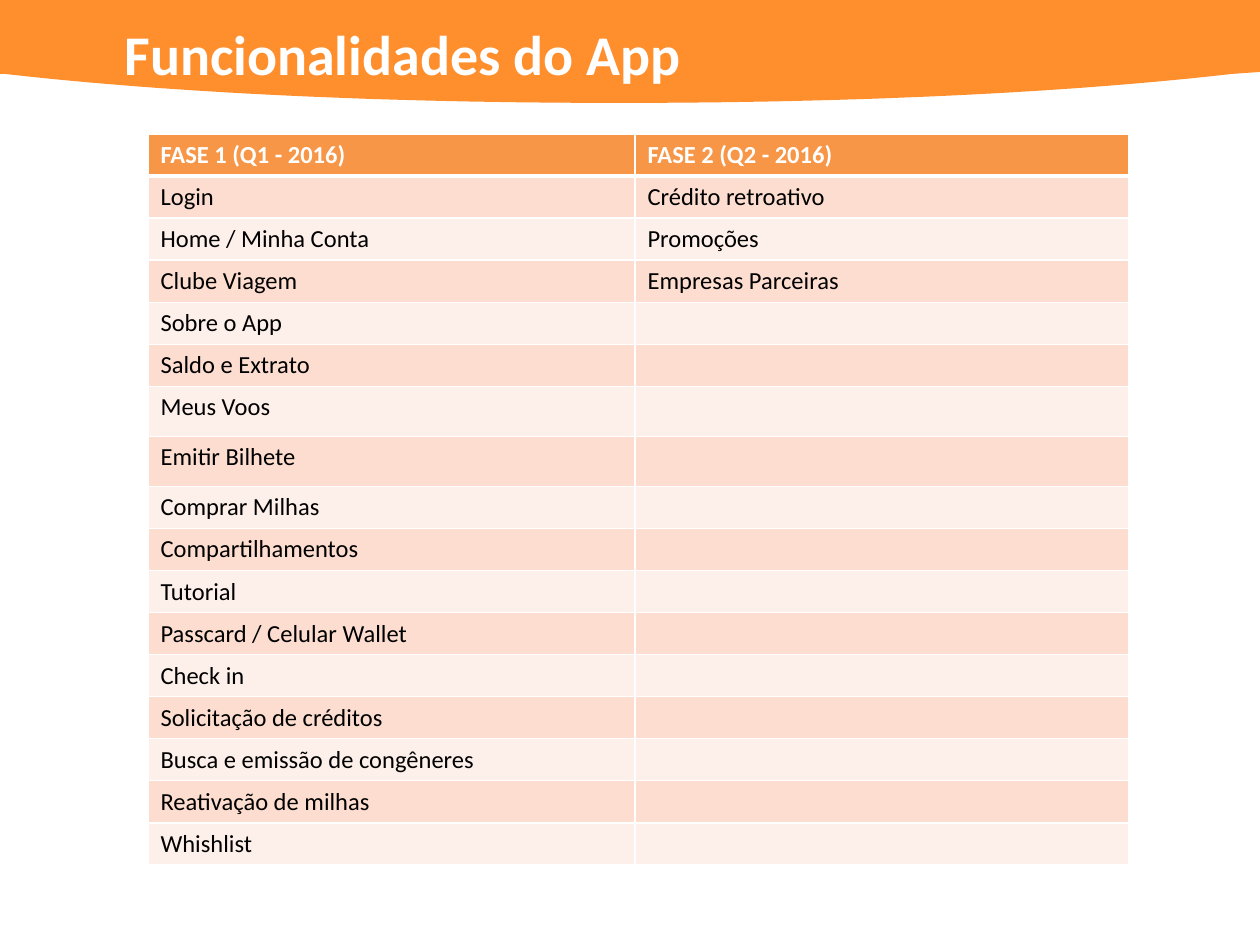
import lxml.etree
import pptx
import pptx.dml.color
import pptx.enum.text
import pptx.oxml.ns
import pptx.util

PX = 914400 / 126  # EMU in one px
FONT = "Calibri"
COLORS = {
    "band": "FF8E2D",
    "header": "F79646",
    "odd": "FCDDCF",
    "even": "FDEFE9",
    "white": "FFFFFF",
    "black": "000000",
}
PHASES = {
    "FASE 1 (Q1 - 2016)": [
        "Login", "Home / Minha Conta", "Clube Viagem", "Sobre o App",
        "Saldo e Extrato", "Meus Voos", "Emitir Bilhete", "Comprar Milhas",
        "Compartilhamentos", "Tutorial", "Passcard / Celular Wallet",
        "Check in", "Solicitação de créditos",
        "Busca e emissão de congêneres", "Reativação de milhas", "Whishlist",
    ],
    "FASE 2 (Q2 - 2016)": [
        "Crédito retroativo", "Promoções", "Empresas Parceiras",
    ],
}
TALL_ROWS = ("Meus Voos", "Emitir Bilhete")


def emu(px):
    return pptx.util.Emu(round(px * PX))


def rgb(name):
    return pptx.dml.color.RGBColor.from_string(COLORS[name])


def add_span(para, text, size, color, bold):
    span = para.add_run()
    span.text = text
    span.font.name = FONT
    span.font.size = pptx.util.Pt(size)
    span.font.bold = bold
    span.font.color.rgb = rgb(color)


def curve_points(start, first, second, end, steps=32):
    """Points along a cubic curve, after its start."""
    for step in range(1, steps + 1):
        t = step / steps
        weights = ((1 - t) ** 3, 3 * t * (1 - t) ** 2, 3 * t * t * (1 - t), t ** 3)
        yield tuple(
            sum(weight * value for weight, value in zip(weights, values))
            for values in zip(start, first, second, end)
        )


def add_band(page, left, top, width):
    """Orange band with a bowed lower edge, and the title on it."""
    right_end, middle, left_end = (1232, 74), (619, 103), (5, 74)
    points = [(width, 0), (width, 72), right_end]
    points += curve_points(right_end, (1066, 93), (852, 103), middle)
    points += curve_points(middle, (386, 103), (171, 93), left_end)
    points.append((0, 74))
    builder = page.shapes.build_freeform(emu(left), emu(top), scale=1.0)
    builder.add_line_segments(
        [(emu(left + x), emu(top + y)) for x, y in points], close=True)
    band = builder.convert_to_shape()
    band.shadow.inherit = False
    band.fill.solid()
    band.fill.fore_color.rgb = rgb("band")
    band.line.fill.background()

    # Title
    box = page.shapes.add_textbox(
        emu(left + 112), emu(top + 13), emu(680), emu(81))
    frame = box.text_frame
    frame.word_wrap = True
    frame.auto_size = pptx.enum.text.MSO_AUTO_SIZE.SHAPE_TO_FIT_TEXT
    add_span(frame.paragraphs[0], "Funcionalidades do App", 32, "white", True)


def add_borders(cell, widths):
    properties = cell._tc.get_or_add_tcPr()
    for side, points in widths.items():
        line = lxml.etree.SubElement(
            properties, pptx.oxml.ns.qn(f"a:ln{side}"),
            w=str(pptx.util.Pt(points)))
        fill = lxml.etree.SubElement(line, pptx.oxml.ns.qn("a:solidFill"))
        lxml.etree.SubElement(
            fill, pptx.oxml.ns.qn("a:srgbClr"), val=COLORS["white"])


def fill_cell(cell, text, row):
    heading = row == 0
    add_borders(cell, {
        "L": 1, "R": 1, "T": 3 if row == 1 else 1, "B": 3 if heading else 1})
    cell.fill.solid()
    cell.fill.fore_color.rgb = rgb(
        "header" if heading else "odd" if row % 2 else "even")
    para = cell.text_frame.paragraphs[0]
    if text:
        add_span(para, text, 14, "white" if heading else "black", heading)
    else:
        # Keeps an empty cell as low as its row
        lxml.etree.SubElement(
            para._p, pptx.oxml.ns.qn("a:endParaRPr"), sz="1400")


def add_phases(page, left, top, widths):
    """Table with one column for each phase."""
    row_count = 1 + max(len(features) for features in PHASES.values())
    columns = [[phase] + features for phase, features in PHASES.items()]
    heights = [50 if name in TALL_ROWS else 42 for name in columns[0]]
    table = page.shapes.add_table(
        row_count, len(columns), emu(left), emu(top),
        emu(sum(widths)), emu(sum(heights))).table
    for row, height in enumerate(heights):
        table.rows[row].height = emu(height)
    for column, (names, width) in enumerate(zip(columns, widths)):
        table.columns[column].width = emu(width)
        for row in range(row_count):
            text = names[row] if row < len(names) else ""
            fill_cell(table.cell(row, column), text, row)


def main():
    deck = pptx.Presentation()
    deck.slide_width, deck.slide_height = emu(1260), emu(945)
    page = deck.slides.add_slide(deck.slide_layouts[6])
    add_band(page, 0, 0, 1260)
    add_phases(page, 148, 134, (487, 494))
    deck.save("out.pptx")


if __name__ == "__main__":
    main()
